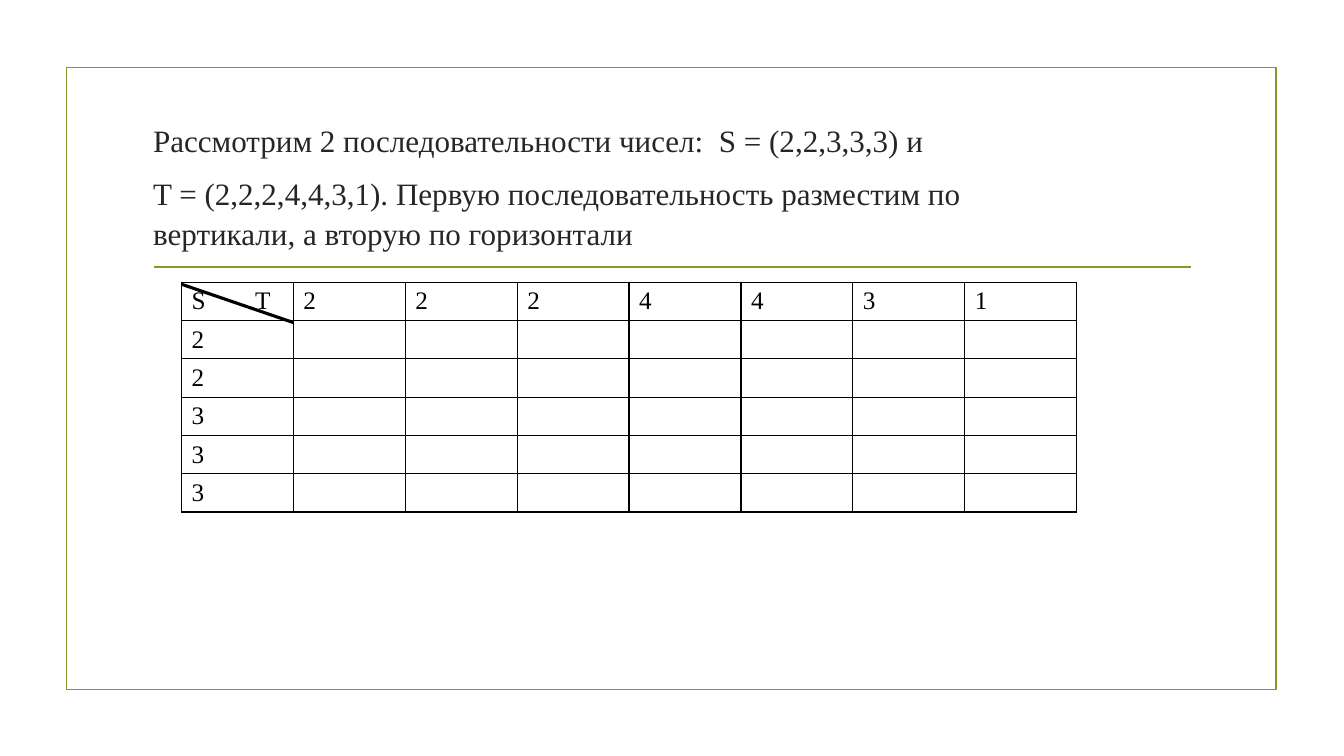
from pptx import Presentation
from pptx.util import Inches, Pt
from pptx.dml.color import RGBColor
from pptx.enum.shapes import MSO_SHAPE, MSO_CONNECTOR
from pptx.enum.text import MSO_ANCHOR
from pptx.oxml import parse_xml
from pptx.oxml.ns import nsdecls
from lxml.etree import SubElement

HUES = {"olive": "83992A", "ink": "262626", "black": "000000"}
FONT = "Times New Roman"


class Page:
    def __init__(self, slide):
        self.slide = slide
        self.shapes = slide.shapes

    def style(self, para, size, hue):
        for run in para.runs:
            run.font.name = FONT
            run.font.size = Pt(size)
            run.font.color.rgb = RGBColor.from_string(HUES[hue])

    def stroke(self, line, hue, width):
        line.color.rgb = RGBColor.from_string(HUES[hue])
        line.width = Pt(width)

    def frame(self, box, hue, width):
        rect = self.shapes.add_shape(MSO_SHAPE.RECTANGLE, *map(Inches, box))
        rect.shadow.inherit = False
        rect.fill.background()
        self.stroke(rect.line, hue, width)

    def line(self, ends, hue, width):
        link = self.shapes.add_connector(MSO_CONNECTOR.STRAIGHT, *map(Inches, ends))
        self.stroke(link.line, hue, width)
        link._element.spPr.append(parse_xml(f"<a:effectLst {nsdecls('a')}/>"))

    def text(self, box, lines, size, hue):
        body = self.shapes.add_textbox(*map(Inches, box)).text_frame
        body.word_wrap = True
        body.text = "\n".join(lines)
        for para in body.paragraphs:
            para.line_spacing = 1.06
            para.space_after = Pt(10)
            self.style(para, size, hue)

    def edge(self, cell, hue, width):
        props = cell._tc.get_or_add_tcPr()
        for side in ("lnL", "lnR", "lnT", "lnB"):
            props.append(parse_xml(
                f'<a:{side} {nsdecls("a")} w="{Pt(width)}"><a:solidFill>'
                f'<a:srgbClr val="{HUES[hue]}"/></a:solidFill></a:{side}>'))

    def grid(self, left, top, wide, high, rows, size, hue):
        count = len(rows[0])
        table = self.shapes.add_table(
            len(rows), count, Inches(left), Inches(top),
            Inches(wide * count), Inches(high * len(rows))).table
        table.first_row = table.horz_banding = False
        for col in table.columns:
            col.width = Inches(wide)
        for row, words in zip(table.rows, rows):
            row.height = Inches(high)
            for cell, word in zip(row.cells, words):
                cell.margin_top = cell.margin_bottom = Inches(0.03)
                cell.vertical_anchor = MSO_ANCHOR.MIDDLE
                self.edge(cell, hue, 1)
                cell.fill.background()
                cell.text_frame.text = word
                self.style(cell.text_frame.paragraphs[0], size, hue)
        return table

    def tab(self, para, place):
        props = para._p.get_or_add_pPr()
        stops = SubElement(props, props.tag.replace("pPr", "tabLst"))
        SubElement(stops, props.tag.replace("pPr", "tab"),
                   pos=str(Inches(place)), algn="l")


def main():
    deck = Presentation()
    deck.slide_width, deck.slide_height = Inches(13.33), Inches(7.5)
    page = Page(deck.slides.add_slide(deck.slide_layouts[6]))

    page.frame((0.66, 0.67, 12, 6.17), "olive", 1.25)
    page.line((1.53, 2.65, 11.81, 2.65), "olive", 1.25)
    page.text((1.42, 1.13, 9.35, 1.37), [
        "Рассмотрим 2 последовательности чисел:  S = (2,2,3,3,3) и",
        "T = (2,2,2,4,4,3,1). Первую последовательность разместим "
        "по вертикали, а вторую по горизонтали",
    ], 22.2, "ink")

    across, down = "2224431", "22333"
    rows = [["S\tT", *across]] + [[num] + [""] * len(across) for num in down]
    table = page.grid(1.8, 2.8, 1.11, 0.38, rows, 18, "black")
    page.tab(table.cell(0, 0).text_frame.paragraphs[0], 0.63)
    page.line((1.8, 2.82, 2.91, 3.2), "black", 2.25)

    deck.save("out.pptx")


if __name__ == "__main__":
    main()
